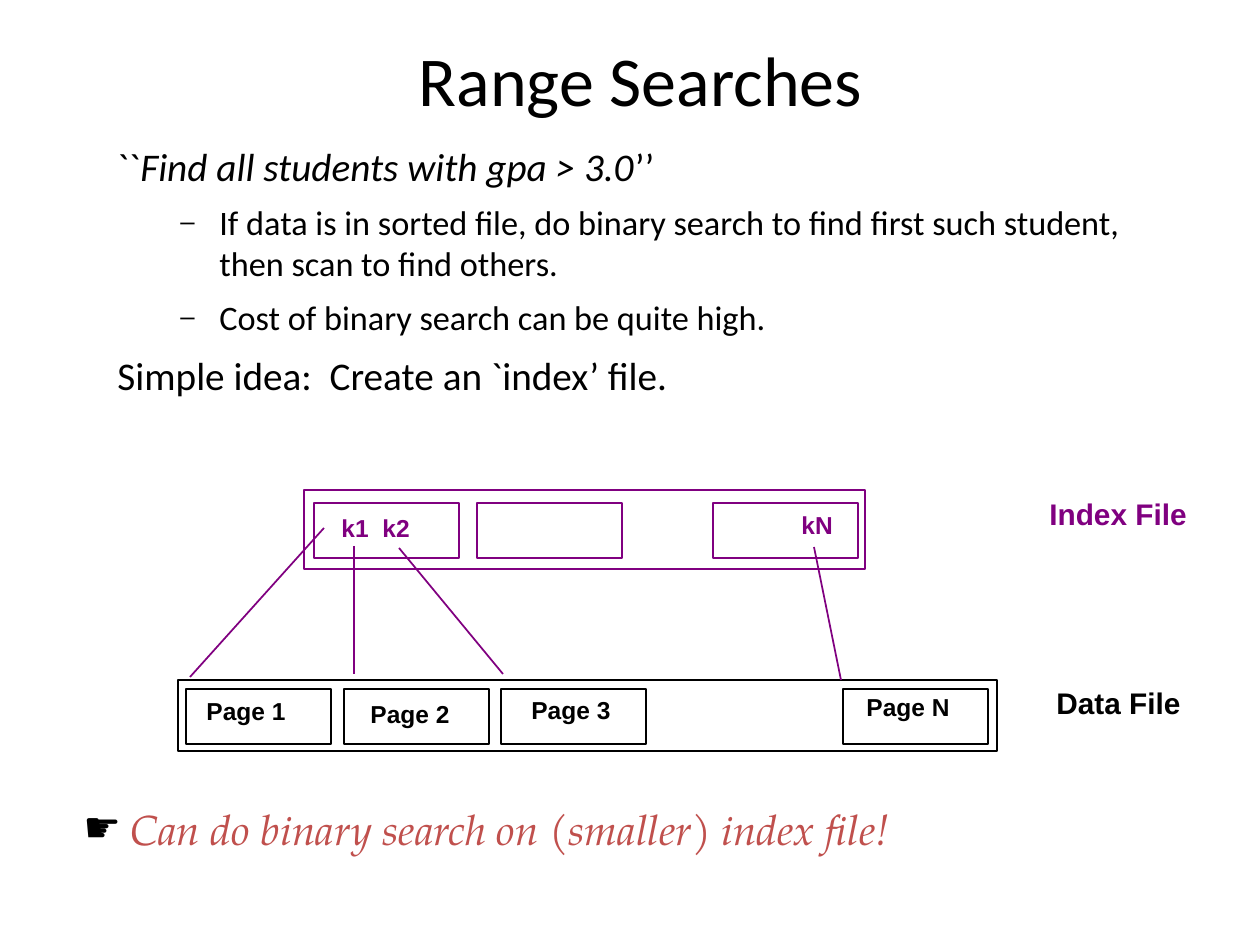
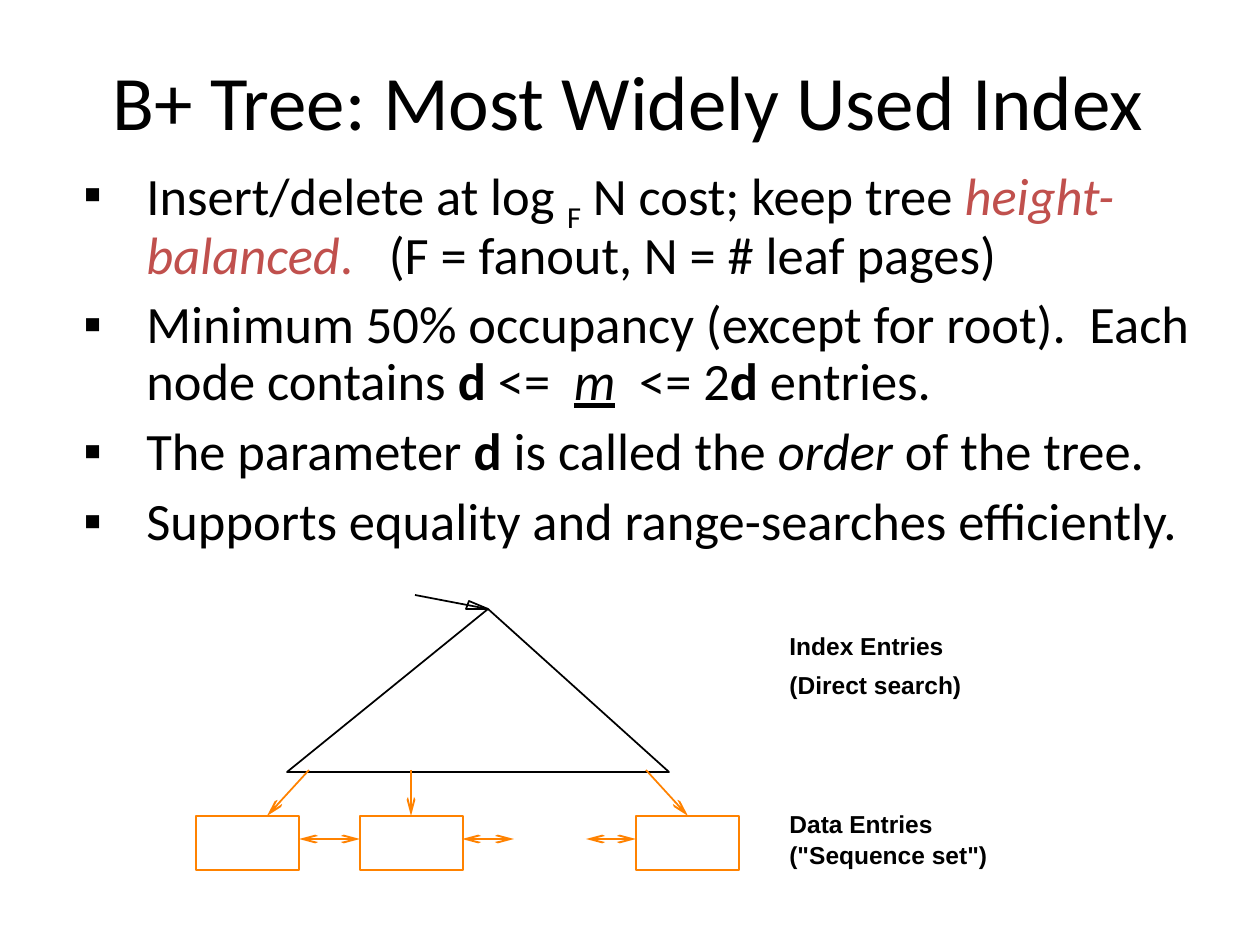
from dataclasses import dataclass
from typing import NamedTuple

from lxml import etree
from pptx import Presentation
from pptx.dml.color import RGBColor
from pptx.enum.shapes import MSO_CONNECTOR, MSO_SHAPE
from pptx.enum.text import MSO_ANCHOR, MSO_AUTO_SIZE, PP_ALIGN
from pptx.oxml.ns import qn
from pptx.util import Emu, Pt

STRAIGHT = MSO_CONNECTOR.STRAIGHT
RECTANGLE = MSO_SHAPE.RECTANGLE
MIDDLE, TOP = MSO_ANCHOR.MIDDLE, MSO_ANCHOR.TOP
CENTER, LEFT = PP_ALIGN.CENTER, PP_ALIGN.LEFT
FIT_SHAPE, FIXED = MSO_AUTO_SIZE.SHAPE_TO_FIT_TEXT, MSO_AUTO_SIZE.NONE
EMU_PER_PX = 914400 / 126


@dataclass(frozen=True)
class Theme:
    ink: str = "000000"
    accent: str = "C0504D"
    index: str = "800080"
    leaf: str = "FF8200"
    body_font: str = "Calibri"
    label_font: str = "Arial"
    remark_font: str = "TeX Gyre Pagella"
    lead_size: float = 22.4
    detail_size: float = 19.6
    bullet_size: float = 30
    remark_size: float = 24
    file_size: float = 17
    label_size: float = 14
    range_title_size: float = 40
    tree_title_size: float = 44
    line_width: float = 1


THEME = Theme()


class Area(NamedTuple):
    left: int
    top: int
    width: int
    height: int


class Point(NamedTuple):
    x: int
    y: int


class Span(NamedTuple):
    text: str
    bold: bool = False
    italic: bool = False
    underline: bool = False
    color: str = THEME.ink
    baseline: int = 0


class Bullet(NamedTuple):
    char: str
    margin: int
    hanging: int
    percent: int = 100


@dataclass(frozen=True)
class Para:
    spans: list[Span]
    size: float
    font: str = THEME.body_font
    bullet: Bullet | None = None
    before: float = 0
    line_spacing: float = 1
    align: PP_ALIGN = LEFT


class Label(NamedTuple):
    text: str
    area: Area
    color: str = THEME.ink
    size: float = THEME.label_size


def px(length: float) -> Emu:
    return Emu(round(length * EMU_PER_PX))


def add_bullet(para, bullet: Bullet) -> None:
    properties = para._p.get_or_add_pPr()
    properties.set("marL", str(px(bullet.margin)))
    properties.set("indent", str(px(-bullet.hanging)))
    color = etree.SubElement(properties, qn("a:buClr"))
    etree.SubElement(color, qn("a:srgbClr"), val=THEME.ink)
    etree.SubElement(properties, qn("a:buSzPct"), val=str(bullet.percent * 1000))
    etree.SubElement(properties, qn("a:buFont"), typeface=THEME.label_font)
    etree.SubElement(properties, qn("a:buChar"), char=bullet.char)


def add_span(para, span: Span, size: float, font: str) -> None:
    run = para.add_run()
    run.text = span.text
    run.font.name = font
    run.font.size = Pt(size)
    run.font.bold = span.bold
    run.font.italic = span.italic
    run.font.underline = span.underline
    run.font.color.rgb = RGBColor.from_string(span.color)
    if span.baseline:
        run._r.get_or_add_rPr().set("baseline", str(span.baseline * 1000))


def add_text(page, area: Area, paras: list[Para], wrap: bool = True, anchor=TOP) -> None:
    frame = page.shapes.add_textbox(*map(px, area)).text_frame
    frame.word_wrap = wrap
    frame.auto_size = FIXED if wrap else FIT_SHAPE
    frame.vertical_anchor = anchor
    for number, content in enumerate(paras):
        para = frame.add_paragraph() if number else frame.paragraphs[0]
        if content.bullet:
            add_bullet(para, content.bullet)
        para.alignment = content.align
        para.line_spacing = content.line_spacing
        para.space_before = Pt(content.before if number else 0)
        for span in content.spans:
            add_span(para, span, content.size, content.font)


def add_title(page, text: str, area: Area, size: float) -> None:
    add_text(page, area, [Para([Span(text)], size, align=CENTER)], anchor=MIDDLE)


def add_labels(page, labels: list[Label]) -> None:
    for label in labels:
        span = Span(label.text, bold=True, color=label.color)
        para = Para([span], label.size, THEME.label_font)
        add_text(page, label.area, [para], wrap=False)


def set_line(shape, color: str) -> None:
    shape.line.color.rgb = RGBColor.from_string(color)
    shape.line.width = Pt(THEME.line_width)


def set_outline(shape, color: str) -> None:
    shape.shadow.inherit = False
    shape.fill.background()
    set_line(shape, color)


def add_frame(page, area: Area, color: str) -> None:
    set_outline(page.shapes.add_shape(RECTANGLE, *map(px, area)), color)


def add_cells(page, lefts: list[int], top: int, size: tuple[int, int], color: str) -> None:
    for left in lefts:
        add_frame(page, Area(left, top, *size), color)


def add_polygon(page, points: list[Point], color: str) -> None:
    builder = page.shapes.build_freeform(*points[0], scale=EMU_PER_PX)
    builder.add_line_segments(points[1:], close=True)
    set_outline(builder.convert_to_shape(), color)


def add_line(page, start: Point, end: Point, color: str, heads: tuple[str, ...] = ()) -> None:
    line = page.shapes.add_connector(STRAIGHT, *map(px, (*start, *end)))
    set_line(line, color)
    for head in heads:
        etree.SubElement(line.line._get_or_add_ln(), qn(head), type="arrow", w="sm", len="lg")
    etree.SubElement(line._element.spPr, qn("a:effectLst"))


def build_range_searches(page) -> None:
    add_title(page, "Range Searches", Area(105, 31, 1071, 94), THEME.range_title_size)
    dash = Bullet("–", margin=102, hanging=39, percent=75)
    lead, detail = THEME.lead_size, THEME.detail_size
    add_text(page, Area(105, 136, 1092, 284), [
        Para([Span("``"), Span("Find all students with gpa > 3.0", italic=True), Span("’’")], lead),
        Para([Span("If data is in sorted file, do binary search to find first such student, "
                   "then scan to find others.")], detail, bullet=dash, before=7),
        Para([Span("Cost of binary search can be quite high.")], detail, bullet=dash, before=7),
        Para([Span("Simple idea:  Create an `index’ file.")], lead, before=8),
    ])
    remark = Span("Can do binary search on (smaller) index file!", italic=True, color=THEME.accent)
    add_text(page, Area(71, 797, 930, 63), [
        Para([remark], THEME.remark_size, THEME.remark_font, Bullet("☛", margin=47, hanging=47)),
    ])

    cell = (145, 55)
    add_cells(page, [186, 344, 501, 843], 689, cell, THEME.ink)
    add_frame(page, Area(178, 680, 819, 71), THEME.ink)
    add_cells(page, [314, 477, 713], 503, cell, THEME.index)
    add_frame(page, Area(304, 490, 561, 79), THEME.index)
    for start, end in [
        (Point(324, 528), Point(190, 677)),
        (Point(354, 546), Point(354, 674)),
        (Point(399, 548), Point(503, 674)),
        (Point(814, 547), Point(841, 680)),
    ]:
        add_line(page, start, end, THEME.index)
    add_labels(page, [
        Label("Page 1", Area(194, 690, 106, 42)),
        Label("Page 2", Area(358, 693, 106, 42)),
        Label("Page 3", Area(519, 689, 106, 42)),
        Label("Page N", Area(854, 686, 110, 42)),
        Label("k1", Area(329, 507, 54, 42), THEME.index),
        Label("k2", Area(370, 507, 54, 42), THEME.index),
        Label("kN", Area(789, 504, 58, 42), THEME.index),
        Label("Index File", Area(1037, 490, 164, 48), THEME.index, THEME.file_size),
        Label("Data File", Area(1044, 679, 150, 48), size=THEME.file_size),
    ])


def build_tree(page) -> None:
    add_title(page, "B+ Tree: Most Widely Used Index", Area(51, 42, 1155, 116),
              THEME.tree_title_size)
    order = Span("d", bold=True)
    points = [
        [Span("Insert/delete at log "), Span("F", baseline=-25), Span(" N cost; keep tree "),
         Span("height-balanced", italic=True, color=THEME.accent),
         Span(".   ", color=THEME.accent), Span("(F = fanout, N = # leaf pages)")],
        [Span("Minimum 50% occupancy (except for root).  Each node contains "), order,
         Span(" <=  "), Span("m", italic=True, underline=True), Span("  <= 2"), order,
         Span(" entries.")],
        [Span("The parameter "), order, Span(" is called the "), Span("order", italic=True),
         Span(" of the tree.")],
        [Span("Supports equality and range-searches efficiently.")],
    ]
    square = Bullet("▪", margin=63, hanging=63)
    add_text(page, Area(71, 158, 1144, 410), [
        Para(spans, THEME.bullet_size, bullet=square, before=7.5, line_spacing=0.9)
        for spans in points
    ])

    root = Point(488, 609)
    add_polygon(page, [Point(287, 772), root, Point(669, 772)], THEME.ink)
    add_line(page, Point(415, 595), root, THEME.ink)
    add_polygon(page, [Point(469, 601), root, Point(466, 609)], THEME.ink)
    add_cells(page, [196, 360, 636], 816, (103, 54), THEME.leaf)
    for left, right in [(299, 360), (462, 514), (586, 636)]:
        add_line(page, Point(left, 839), Point(right, 839), THEME.leaf, ("a:headEnd", "a:tailEnd"))
    for above, below in [(309, 267), (411, 411), (646, 688)]:
        add_line(page, Point(above, 770), Point(below, 816), THEME.leaf, ("a:tailEnd",))
    add_labels(page, [
        Label("Index Entries", Area(777, 625, 181, 42)),
        Label("(Direct search)", Area(777, 664, 198, 42)),
        Label("Data Entries", Area(777, 803, 170, 42)),
        Label('("Sequence set")', Area(777, 834, 224, 42)),
    ])


def main() -> None:
    deck = Presentation()
    deck.slide_width, deck.slide_height = px(1260), px(945)
    for build in (build_range_searches, build_tree):
        build(deck.slides.add_slide(deck.slide_layouts[6]))
    deck.save("out.pptx")


if __name__ == "__main__":
    main()
